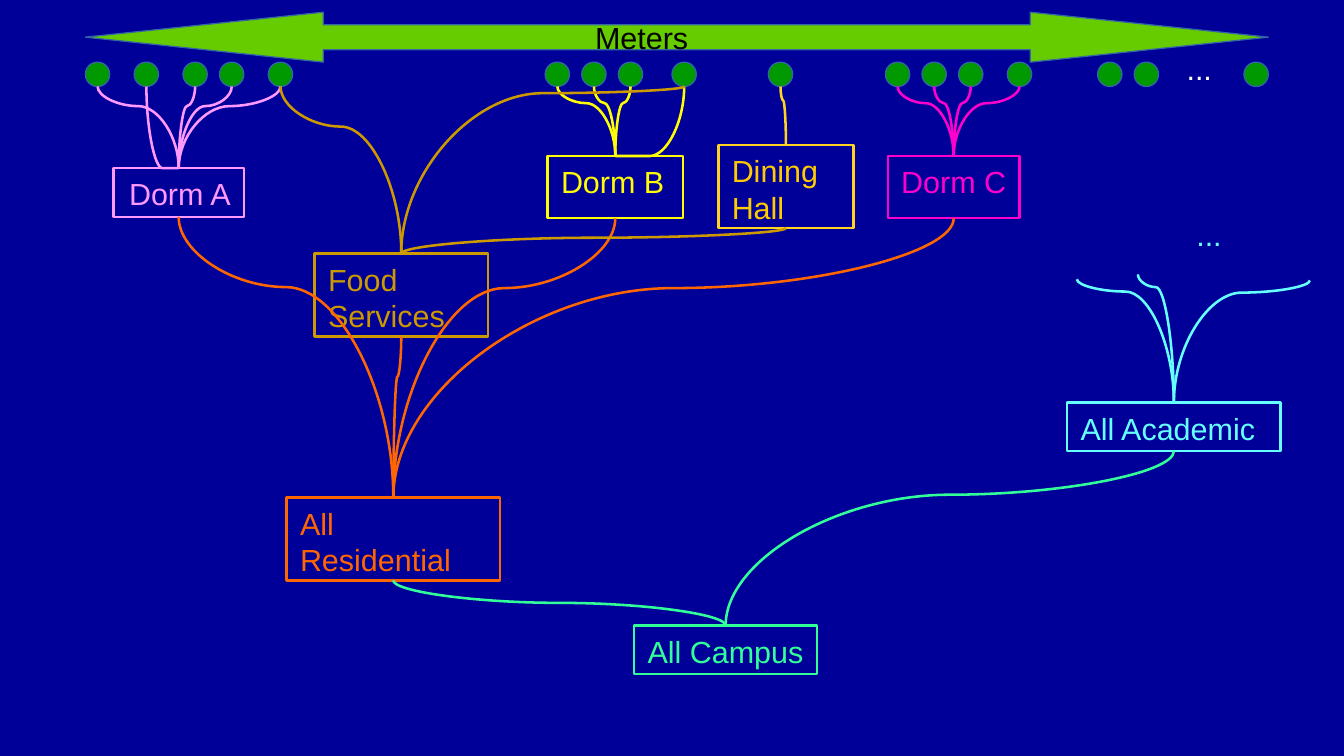
from lxml import etree
from pptx import Presentation
from pptx.dml.color import RGBColor
from pptx.enum.shapes import MSO_CONNECTOR, MSO_SHAPE
from pptx.enum.text import MSO_ANCHOR, MSO_AUTO_SIZE, PP_ALIGN
from pptx.oxml.ns import qn
from pptx.util import Inches, Pt

CURVE = MSO_CONNECTOR.CURVE
RECTANGLE, OVAL, ARROW = MSO_SHAPE.RECTANGLE, MSO_SHAPE.OVAL, MSO_SHAPE.LEFT_RIGHT_ARROW
LEFT, CENTER = PP_ALIGN.LEFT, PP_ALIGN.CENTER

# Content: left, top, width, height in inches
BACKGROUND, METER_EDGE = "000099", "3465A4"
METER_TOP, METER_SIZE = 0.51, 0.2
METER_LEFTS = [0.7, 1.1, 1.5, 1.8, 2.2, 4.47, 4.77, 5.07, 5.51, 6.3,
               7.26, 7.56, 7.86, 8.26, 9, 9.3, 10.2]

NODES = {  # name: (box, line colour, text colour, alignment)
    "Dorm A": ((0.93, 1.38, 1.07, 0.4), "FF99FF", "FF99FF", CENTER),
    "Dorm B": ((4.49, 1.28, 1.11, 0.51), "FFFF00", "FFFF00", LEFT),
    "Dining Hall": ((5.89, 1.19, 1.11, 0.68), "FFD320", "FFCC00", LEFT),
    "Dorm C": ((7.28, 1.28, 1.08, 0.51), "FF00CC", "FF00CC", LEFT),
    "Food Services": ((2.58, 2.08, 1.42, 0.68), "CC9900", "CC9900", LEFT),
    "All Residential": ((2.35, 4.08, 1.75, 0.68), "FF6600", "FF6600", LEFT),
    "All Academic": ((8.75, 3.3, 1.75, 0.4), "66FFFF", "66FFFF", LEFT),
    "All Campus": ((5.2, 5.13, 1.5, 0.4), "33FF99", "33FF99", LEFT),
}
LABELS = [
    ("Meters", (4.77, 0.1, 1, 0.5), "000000"),
    ("...", (9.62, 0.35, 0.5, 0.38), "FFFFFF"),
    ("...", (9.7, 1.71, 0.5, 0.38), "66FFFF"),
]
# Target: sources with the bend as a share of the drop.
# A source is a meter number, a node name or a free point.
LINKS = [
    ("Dorm A", [(0, 0.24), (1, 1), (2, 0.24), (3, 0.24), (4, 0.24)]),
    ("Dorm B", [(5, 0.24), (6, 0.24), (7, 0.24), (8, 1)]),
    ("Food Services", [(4, 0.24), (8, 0.04)]),
    ("All Residential", [("Dorm A", 0.25), ("Dorm B", 0.25),
                         ("Food Services", 0.25), ("Dorm C", 0.25)]),
    ("Dorm C", [(10, 0.24), (11, 0.24), (12, 0.24), (13, 0.24)]),
    ("All Academic", [((8.83, 2.29), 0.1), ((9.33, 2.25), 0.1), ((10.74, 2.3), 0.1)]),
    ("All Campus", [("All Academic", 0.25), ("All Residential", 0.5)]),
    ("Dining Hall", [(9, 0.24)]),
    ("Food Services", [("Dining Hall", 0.38)]),
]


def colour(value):
    return RGBColor.from_string(value)


def add_filled(page, kind, box, fill, edge):
    shape = page.shapes.add_shape(kind, *map(Inches, box))
    shape.shadow.inherit = False
    shape.fill.solid()
    shape.fill.fore_color.rgb = colour(fill)
    shape.line.color.rgb = colour(edge)
    shape.line.width = Pt(0)
    return shape


def write(shape, text, text_colour, align=LEFT):
    frame = shape.text_frame
    settings = {
        "word_wrap": True, "auto_size": MSO_AUTO_SIZE.SHAPE_TO_FIT_TEXT,
        "vertical_anchor": MSO_ANCHOR.TOP,
        "margin_left": Inches(0.11), "margin_right": Inches(0.09),
        "margin_top": Inches(0.06), "margin_bottom": Inches(0.06),
    }
    for name, value in settings.items():
        setattr(frame, name, value)
    para = frame.paragraphs[0]
    para.alignment = align
    span = para.add_run()
    span.text = text
    for name, value in {"name": "Arial", "size": Pt(18)}.items():
        setattr(span.font, name, value)
    span.font.color.rgb = colour(text_colour)


def add_node(page, name, box, edge, text_colour, align):
    shape = page.shapes.add_shape(RECTANGLE, *map(Inches, box))
    shape.shadow.inherit = False
    shape.fill.background()
    shape.line.color.rgb = colour(edge)
    shape.line.width = Pt(1.5)
    write(shape, name, text_colour, align)


def link_start(source):
    if isinstance(source, tuple):
        return source
    if isinstance(source, int):
        return METER_LEFTS[source] + METER_SIZE / 2, METER_TOP + METER_SIZE
    left, top, width, height = NODES[source][0]
    return left + width / 2, top + height


def add_curve(page, start, end, bend, line_colour):
    """Draw a curve that leaves downwards: a sideways curve turned a quarter."""
    run, drop = end[0] - start[0], end[1] - start[1]
    middle_x, middle_y = (start[0] + end[0]) / 2, (start[1] + end[1]) / 2
    side = -1 if run > 0 else 1
    corners = (middle_x - side * drop / 2, middle_y - abs(run) / 2,
               middle_x + side * drop / 2, middle_y + abs(run) / 2)
    curve = page.shapes.add_connector(CURVE, *map(Inches, corners))
    curve.line.color.rgb = colour(line_colour)
    curve.line.width = Pt(1.5)
    properties = curve.element.spPr
    properties.find(qn("a:xfrm")).set("rot", str((270 if run > 0 else 90) * 60000))
    guides = properties.find(qn("a:prstGeom")).find(qn("a:avLst"))
    etree.SubElement(guides, qn("a:gd"), name="adj1", fmla=f"val {round(bend * 100000)}")
    etree.SubElement(properties, qn("a:effectLst"))


def main():
    deck = Presentation()
    deck.slide_width, deck.slide_height = Inches(11.02), Inches(6.2)
    page = deck.slides.add_slide(deck.slide_layouts[6])
    page.background.fill.solid()
    page.background.fill.fore_color.rgb = colour(BACKGROUND)

    # Meter band
    arrow = add_filled(page, ARROW, (0.7, 0.1, 9.7, 0.41), "66CC00", METER_EDGE)
    arrow.adjustments[0], arrow.adjustments[1] = 0.5, 4.76
    for left in METER_LEFTS:
        add_filled(page, OVAL, (left, METER_TOP, METER_SIZE, METER_SIZE), "009900", METER_EDGE)

    # Groups and loose labels
    for name, node in NODES.items():
        add_node(page, name, *node)
    for text, box, text_colour in LABELS:
        write(page.shapes.add_textbox(*map(Inches, box)), text, text_colour)

    # Curves, each in the colour of the group it feeds
    for target, sources in LINKS:
        (left, top, width, _), line_colour, _, _ = NODES[target]
        for source, bend in sources:
            add_curve(page, link_start(source), (left + width / 2, top), bend, line_colour)

    deck.save("out.pptx")


if __name__ == "__main__":
    main()
